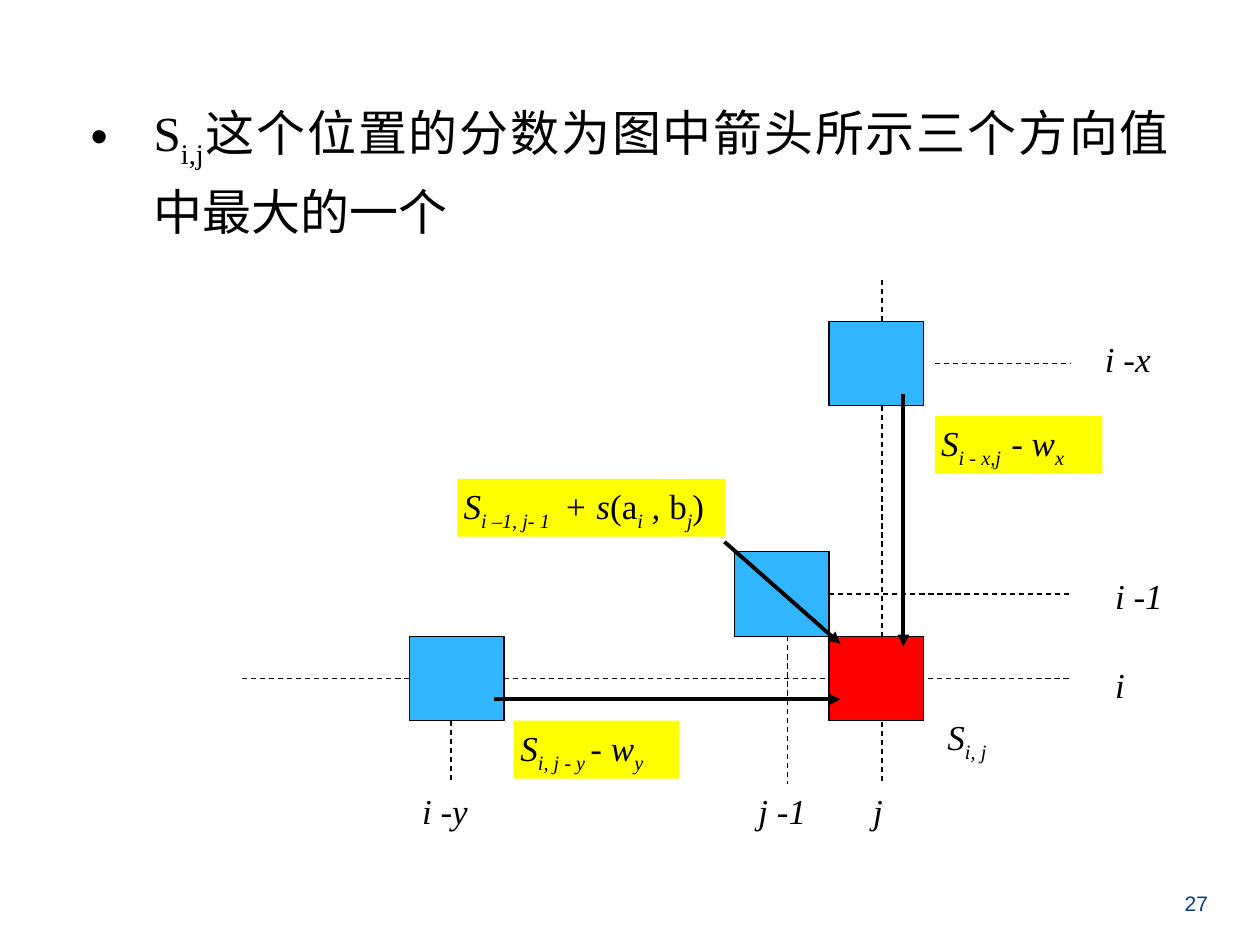
from lxml.etree import SubElement
from pptx import Presentation
from pptx.dml.color import RGBColor
from pptx.enum.dml import MSO_LINE_DASH_STYLE as Dash
from pptx.enum.shapes import MSO_CONNECTOR as Connector, MSO_SHAPE as Shape
from pptx.enum.text import MSO_ANCHOR as Anchor, PP_ALIGN as Align
from pptx.oxml.ns import qn
from pptx.util import Inches, Pt

BLACK = RGBColor(0x00, 0x00, 0x00)
BLUE = RGBColor(0x31, 0xB6, 0xFD)
RED = RGBColor(0xFF, 0x00, 0x00)
YELLOW = RGBColor(0xFF, 0xFF, 0x00)
NAVY = RGBColor(0x07, 0x3E, 0x87)
SERIF, SANS, CJK = "Times New Roman", "Arial", "Noto Sans CJK SC"

CELL_W, CELL_H = 0.75, 0.67
COLS = {"j-y": 3.25, "j-1": 5.83, "j": 6.58}
ROWS = {"i-x": 2.55, "i-1": 4.38, "i": 5.05}
GUIDE_RIGHT, GUIDE_BOTTOM = 8.5, 6.22
LABEL_W, LABEL_H, FORMULA_H = 0.57, 0.41, 0.46

STATEMENT = [("S", ""), ("i,j", "sub"), ("这个位置的分数为图中箭头所示三个方向值中最大的一个", "cjk")]
CELLS = [("j", "i-x", BLUE), ("j-1", "i-1", BLUE), ("j", "i", RED), ("j-y", "i", BLUE)]
ROW_GUIDES = [("i-x", 7.42), ("i-1", COLS["j"]), ("i", 1.92)]
COL_GUIDES = [(3.58, ROWS["i"] + CELL_H), (6.25, ROWS["i"]), (7, 2.22)]
ARROWS = [(3.92, 5.55, 6.67, 5.55), (7.17, 3.13, 7.17, 5.13), (5.75, 4.3, 6.67, 5.11)]
AXIS_LABELS = [
    ("i -x", 8.72, 2.63), ("i -1", 8.8, 4.51), ("i", 8.8, 5.22),
    ("i -y", 3.3, GUIDE_BOTTOM), ("j -1", 5.97, GUIDE_BOTTOM), ("j", 6.88, GUIDE_BOTTOM),
]
FORMULAS = [
    (7.42, 3.3, 1.33, YELLOW,
     [("S", "italic"), ("i - x,j  ", "italic sub"), ("- w", "italic"), ("x", "italic sub")]),
    (3.63, 3.8, 2.13, YELLOW,
     [("S", "italic"), ("i –1, j- 1 ", "italic sub"), (" + s", "italic"), ("(a", ""),
      ("i", "italic sub"), (" , ", "italic"), ("b", ""), ("j", "italic sub"), (")", "")]),
    (4.08, 5.72, 1.31, YELLOW,
     [("S", "italic"), ("i, j - y ", "italic sub"), ("- w", "italic"), ("y", "italic sub")]),
    (7.47, 5.63, LABEL_W, None, [("S", "italic"), ("i, j", "italic sub")]),
]


def write(box, runs, size=20, font=SERIF, color=BLACK, align=Align.LEFT,
          anchor=Anchor.TOP, wrap=True):
    """Fill a shape with one paragraph of styled runs and return the paragraph."""
    frame = box.text_frame
    frame.word_wrap = wrap
    frame.vertical_anchor = anchor
    frame.margin_left = frame.margin_right = Inches(0.05)
    frame.margin_top = frame.margin_bottom = Inches(0.05)
    paragraph = frame.paragraphs[0]
    paragraph.alignment = align
    paragraph.space_before = Pt(0)
    for text, style in runs:
        run = paragraph.add_run()
        run.text = text
        run.font.size = Pt(size)
        run.font.name = CJK if "cjk" in style else font
        run.font.italic = "italic" in style
        run.font.color.rgb = color
        properties = run._r.get_or_add_rPr()
        if "sub" in style:
            properties.set("baseline", "-25000")
        if "cjk" in style:
            SubElement(properties, qn("a:ea"), typeface=CJK)
    return paragraph


def add_box(slide, x, y, width, height, fill=None, outlined=False):
    """Add a plain rectangle, or a text box when there is no fill."""
    place = [Inches(length) for length in (x, y, width, height)]
    if fill is None:
        return slide.shapes.add_textbox(*place)
    box = slide.shapes.add_shape(Shape.RECTANGLE, *place)
    box.shadow.inherit = False
    box.fill.solid()
    box.fill.fore_color.rgb = fill
    if outlined:
        box.line.color.rgb = BLACK
        box.line.width = Pt(0.75)
    else:
        box.line.fill.background()
    return box


def add_line(slide, ends, arrow=False):
    """Add a dashed guide or a solid arrow between two points."""
    line = slide.shapes.add_connector(Connector.STRAIGHT, *[Inches(end) for end in ends])
    line.line.color.rgb = BLACK
    line.line.width = Pt(2.25 if arrow else 0.75)
    if arrow:
        SubElement(line.line._get_or_add_ln(), qn("a:tailEnd"), type="triangle")
    else:
        line.line.dash_style = Dash.DASH
    SubElement(line._element.spPr, qn("a:effectLst"))


def add_statement(slide):
    """Write the bulleted statement in the body placeholder."""
    title, body = slide.placeholders
    title._element.getparent().remove(title._element)
    body.left, body.top = Inches(0.67), Inches(0.66)
    body.width, body.height = Inches(8.66), Inches(1.5)
    paragraph = write(body, STATEMENT, size=28, align=Align.JUSTIFY)
    paragraph.line_spacing = 1.2
    properties = paragraph._p.get_or_add_pPr()
    properties.set("marL", str(Inches(0.5)))
    properties.set("indent", str(-Inches(0.5)))
    SubElement(properties, qn("a:buFont"), typeface=SANS)
    SubElement(properties, qn("a:buChar"), char="•")


def add_diagram(slide):
    """Draw guides, cells, arrows and labels of the scoring grid."""
    for row, left in ROW_GUIDES:
        middle = ROWS[row] + CELL_H / 2
        add_line(slide, (left, middle, GUIDE_RIGHT, middle))
    for x, top in COL_GUIDES:
        add_line(slide, (x, top, x, GUIDE_BOTTOM))
    for col, row, fill in CELLS:
        add_box(slide, COLS[col], ROWS[row], CELL_W, CELL_H, fill, outlined=True)
    for ends in ARROWS:
        add_line(slide, ends, arrow=True)
    for label, x, y in AXIS_LABELS:
        write(add_box(slide, x, y, LABEL_W, LABEL_H), [(label, "italic")])
    for x, y, width, fill, runs in FORMULAS:
        write(add_box(slide, x, y, width, FORMULA_H, fill), runs)


def main():
    """Build the slide and save it."""
    deck = Presentation()
    deck.slide_width, deck.slide_height = Inches(10), Inches(7.5)
    slide = deck.slides.add_slide(deck.slide_layouts[1])
    add_statement(slide)
    add_diagram(slide)
    write(add_box(slide, 9.35, 7.02, 0.29, 0.29), [("27", "")], size=12, font=SANS,
          color=NAVY, align=Align.CENTER, anchor=Anchor.MIDDLE, wrap=False)
    deck.save("out.pptx")


if __name__ == "__main__":
    main()
